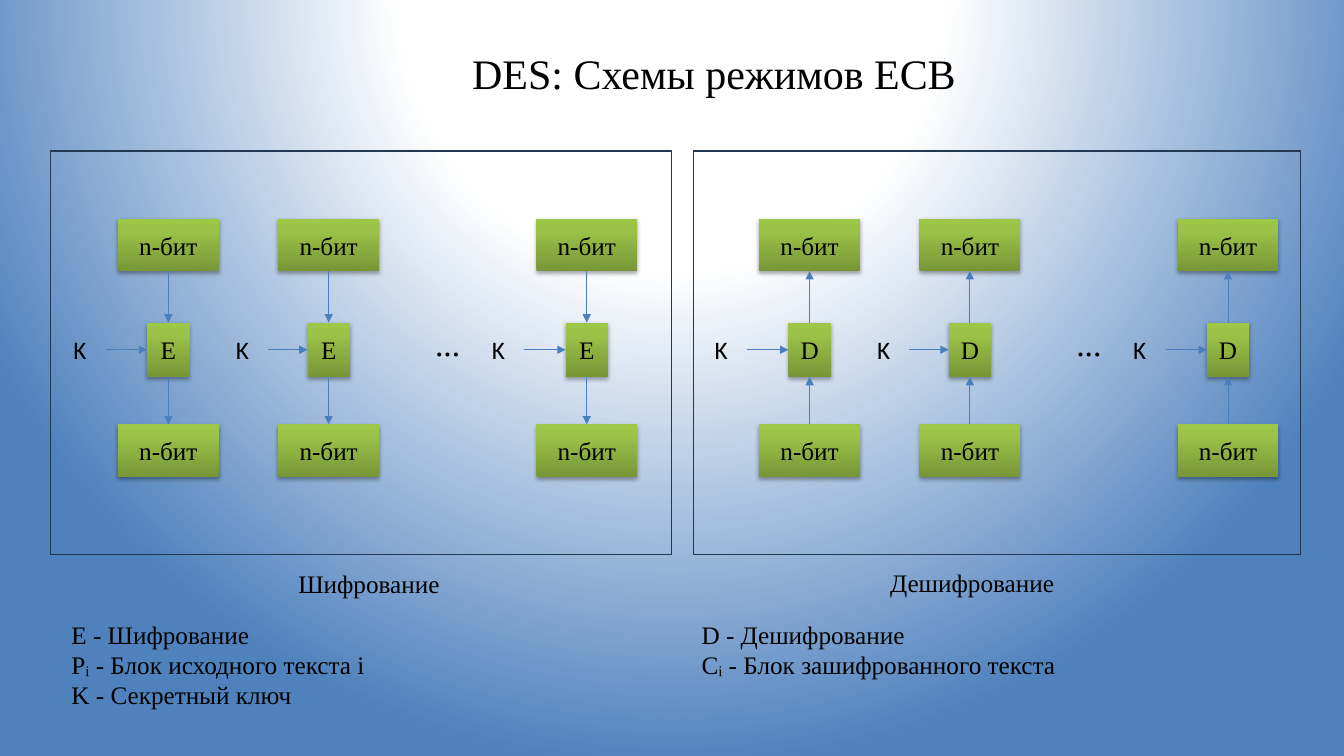
from dataclasses import dataclass

from lxml import etree
from pptx import Presentation
from pptx.dml.color import RGBColor
from pptx.enum.shapes import MSO_CONNECTOR, MSO_SHAPE
from pptx.enum.text import MSO_ANCHOR, MSO_AUTO_SIZE, PP_ALIGN
from pptx.oxml import parse_xml
from pptx.oxml.ns import qn
from pptx.util import Inches, Pt

RECTANGLE = MSO_SHAPE.RECTANGLE
STRAIGHT = MSO_CONNECTOR.STRAIGHT
LEFT, CENTER = PP_ALIGN.LEFT, PP_ALIGN.CENTER
TOP, MIDDLE = MSO_ANCHOR.TOP, MSO_ANCHOR.MIDDLE
GROW = MSO_AUTO_SIZE.SHAPE_TO_FIT_TEXT
SIDE_TOP, SIDE_LEFT, SIDE_BOTTOM, SIDE_RIGHT = range(4)
DRAWING = "http://schemas.openxmlformats.org/drawingml/2006/main"


@dataclass(frozen=True)
class Theme:
    serif: str = "Times New Roman"
    sans: str = "Calibri"
    title: int = 30
    dots: int = 24
    body: int = 18
    ink: str = "000000"
    arrow: str = "4B7EBC"
    frame: str = "233953"
    page_stops: tuple = ((0, "FFFFFF"), (35, "FFFFFF"), (100, "4F81BD"))
    block_stops: tuple = ((0, "779737"), (80, "9BC348"), (100, "9DC746"))


class Diagram:
    """Draws styled elements on one page, measured in grid cells of 0.1 inch."""

    cell = Inches(0.1)

    def __init__(self, page, theme):
        self.page = page
        self.theme = theme

    def place(self, *lengths):
        return [round(length * self.cell) for length in lengths]

    def gradient(self, stops, direction):
        marks = "".join(
            f'<a:gs pos="{share * 1000}"><a:srgbClr val="{color}"/></a:gs>'
            for share, color in stops
        )
        return parse_xml(
            f'<a:gradFill xmlns:a="{DRAWING}" rotWithShape="1">'
            f"<a:gsLst>{marks}</a:gsLst>{direction}</a:gradFill>"
        )

    def fill_gradient(self, fill, holder, stops, direction):
        fill.solid()
        solid = holder.find(f".//{qn('a:solidFill')}")
        solid.getparent().replace(solid, self.gradient(stops, direction))

    def backdrop(self):
        self.fill_gradient(
            self.page.background.fill, self.page.element, self.theme.page_stops,
            '<a:path path="circle"><a:fillToRect l="50000" t="-80000" '
            'r="50000" b="180000"/></a:path>',
        )

    def add_lines(self, box, lines, size, font, align, anchor):
        frame = box.text_frame
        frame.word_wrap = True
        frame.vertical_anchor = anchor
        for number, spans in enumerate(lines):
            para = frame.paragraphs[0] if number == 0 else frame.add_paragraph()
            para.alignment = align
            for words in spans:
                span = para.add_run()
                span.text = words
                span.font.name = font
                span.font.size = Pt(size)
                span.font.color.rgb = RGBColor.from_string(self.theme.ink)

    def text(self, area, lines, size=None, font=None, align=LEFT, anchor=TOP):
        box = self.page.shapes.add_textbox(*self.place(*area))
        self.add_lines(box, lines, size or self.theme.body,
                       font or self.theme.serif, align, anchor)
        box.text_frame.auto_size = GROW
        return box

    def title(self, area, spans):
        frame = self.text(area, [spans], self.theme.title, align=CENTER).text_frame
        frame.margin_left = frame.margin_right = frame.margin_bottom = 0
        frame.margin_top = Inches(0.01)

    def rectangle(self, area):
        box = self.page.shapes.add_shape(RECTANGLE, *self.place(*area))
        box.shadow.inherit = False
        return box

    def frame(self, area):
        box = self.rectangle(area)
        box.fill.background()
        box.line.color.rgb = RGBColor.from_string(self.theme.frame)
        box.line.width = Pt(1)

    def block(self, center, top, width, height, label):
        box = self.rectangle((center - width / 2, top, width, height))
        properties = box.element.spPr
        self.fill_gradient(box.fill, properties, self.theme.block_stops,
                           '<a:lin ang="16200000" scaled="0"/>')
        box.line.fill.background()
        properties.find(qn("a:effectLst")).append(parse_xml(
            f'<a:outerShdw xmlns:a="{DRAWING}" blurRad="{Pt(3.1)}" '
            f'dist="{Pt(1.8)}" dir="5400000" rotWithShape="0">'
            f'<a:srgbClr val="{self.theme.ink}"><a:alpha val="35000"/>'
            "</a:srgbClr></a:outerShdw>"
        ))
        self.add_lines(box, [[label]], self.theme.body, self.theme.serif,
                       CENTER, MIDDLE)
        return box

    def arrow(self, source, source_side, target, target_side):
        link = self.page.shapes.add_connector(STRAIGHT, 0, 0, 0, 0)
        link.begin_connect(source, source_side)
        link.end_connect(target, target_side)
        link.line.color.rgb = RGBColor.from_string(self.theme.arrow)
        link.line.width = Pt(0.75)
        properties = link.element.spPr
        etree.SubElement(properties.find(qn("a:ln")), qn("a:tailEnd"), type="triangle")
        etree.SubElement(properties, qn("a:effectLst"))

    def lane(self, center, key_left, letter, upward):
        upper = self.block(center, 21.7, 10, 5.2, "n-бит")
        cipher = self.block(center, 32, 4.2, 5.4, letter)
        lower = self.block(center, 42.1, 10, 5.2, "n-бит")
        key = self.text((key_left, 32.7, 4.2, 4), [["K"]], font=self.theme.sans)
        if upward:
            self.arrow(lower, SIDE_TOP, cipher, SIDE_BOTTOM)
            self.arrow(cipher, SIDE_TOP, upper, SIDE_BOTTOM)
        else:
            self.arrow(upper, SIDE_BOTTOM, cipher, SIDE_TOP)
            self.arrow(cipher, SIDE_BOTTOM, lower, SIDE_TOP)
        self.arrow(key, SIDE_RIGHT, cipher, SIDE_LEFT)

    def scheme(self, shift, letter, upward):
        for center, key_left in ((16.7, 6.3), (32.6, 22.4), (58.2, 47.8)):
            self.lane(center + shift, key_left + shift, letter, upward)
        self.text((42.1 + shift, 31.5, 4.6, 5), [["..."]], self.theme.dots,
                  align=CENTER, anchor=MIDDLE)


def main():
    deck = Presentation()
    deck.slide_width, deck.slide_height = Inches(13.33), Inches(7.5)
    page = deck.slides.add_slide(deck.slide_layouts[6])
    diagram = Diagram(page, Theme())
    diagram.backdrop()
    diagram.title((24.2, 4.6, 93.3, 5.2), ["DES: ", "Схемы режимов ECB"])
    diagram.scheme(0, "E", upward=False)
    diagram.scheme(63.6, "D", upward=True)
    diagram.frame((5, 15, 61.6, 40))
    diagram.frame((68.8, 15, 60.2, 40))
    diagram.text((28.6, 55.9, 17.5, 4), [["Шифрование"]])
    diagram.text((87.3, 55.8, 20.4, 4), [["Дешифрование"]])
    diagram.text((6.1, 60.9, 34.6, 10.1), [
        ["E - Шифрование"],
        ["Pᵢ - Блок исходного текста i"],
        ["K - Секретный ключ"],
    ])
    diagram.text((68.6, 60.9, 46.7, 7.1), [
        ["D - Дешифрование"],
        ["Cᵢ - Блок зашифрованного текста"],
    ])
    deck.save("out.pptx")


if __name__ == "__main__":
    main()
